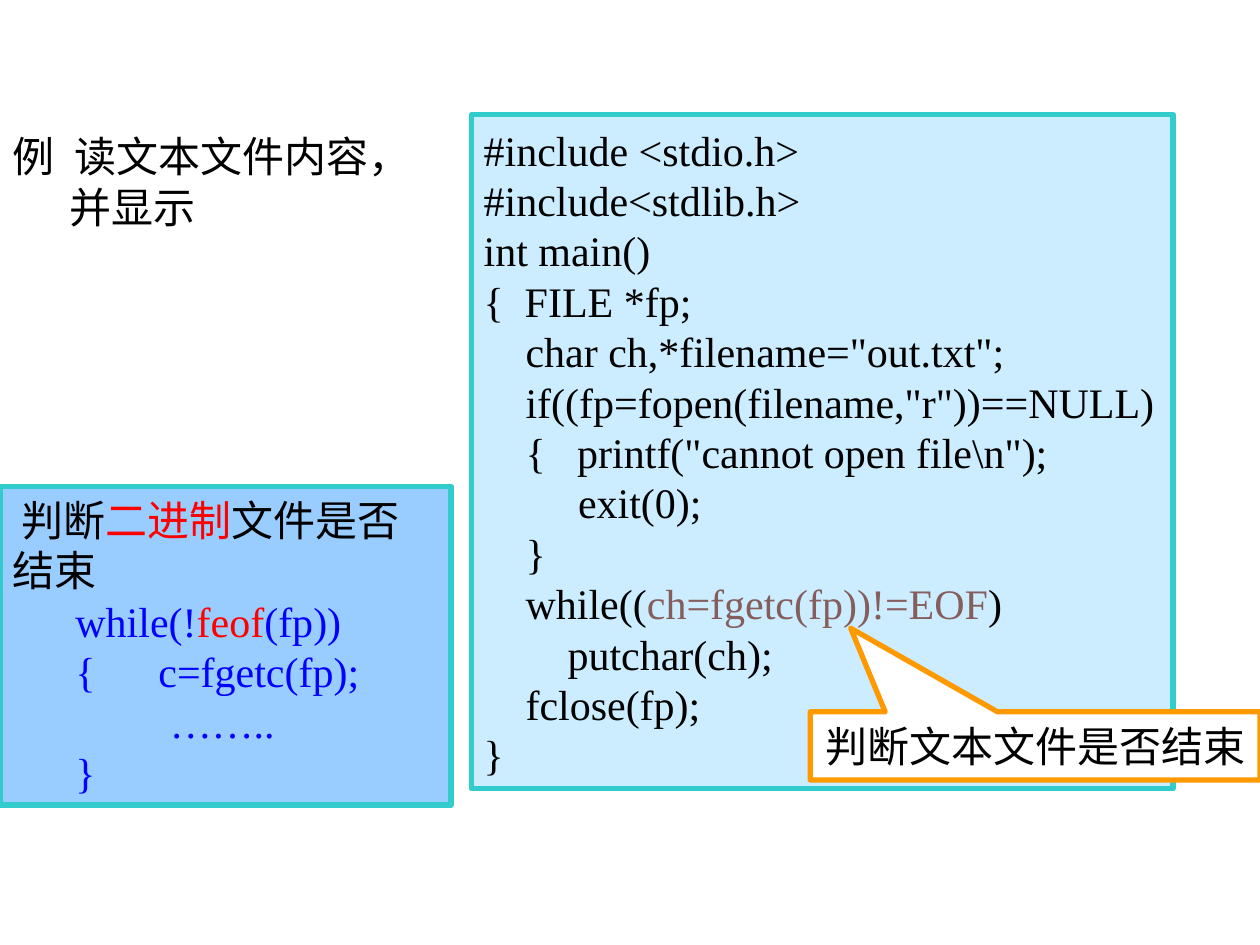
import pptx
import pptx.dml.color
import pptx.enum.shapes
import pptx.enum.text
import pptx.oxml
import pptx.oxml.ns
import pptx.util

COLORS = {
    "text": "000000", "red": "FF0000", "blue": "0000FF", "brown": "855D5D",
    "code_fill": "CCECFF", "note_fill": "99CCFF", "teal": "33CCCC",
    "callout_fill": "FFFFFF", "orange": "FF9900",
}

# Each line is a string, or a list of (text, colour name) parts
CODE_LINES = [
    "#include <stdio.h>",
    "#include<stdlib.h>",
    "int main()",
    "{  FILE *fp;",
    '    char ch,*filename="out.txt";',
    '    if((fp=fopen(filename,"r"))==NULL)',
    '    {   printf("cannot open file\\n");',
    "         exit(0);",
    "    }",
    [("    while((", "text"), ("ch=fgetc(fp))!=EOF", "brown"), (")", "text")],
    "        putchar(ch);",
    "    fclose(fp);",
    "}",
]
BINARY_LINES = [
    [(" 判断", "text"), ("二进制", "red"), ("文件是否结束", "text")],
    [("      while(!", "blue"), ("feof", "red"), ("(fp))", "blue")],
    [("      {      c=fgetc(fp);", "blue")],
    [("               ……..", "blue")],
    [("      }", "blue")],
]


def color(name):
    return pptx.dml.color.RGBColor.from_string(COLORS[name])


def add_span(para, text, *, font="Times New Roman", size=24, fill="text"):
    span = para.add_run()
    span.text = text
    span.font.name = font
    span.font.size = pptx.util.Pt(size)
    span.font.color.rgb = color(fill)


class SlideBuilder:
    def __init__(self, deck, line_width=3):
        self.page = deck.slides.add_slide(deck.slide_layouts[6])
        self.line_width = line_width

    def fill_text(self, box, lines, *, wrap=False, align="LEFT",
                  anchor="MIDDLE"):
        frame = box.text_frame
        frame.word_wrap = wrap
        frame.auto_size = pptx.enum.text.MSO_AUTO_SIZE.SHAPE_TO_FIT_TEXT
        frame.vertical_anchor = pptx.enum.text.MSO_ANCHOR[anchor]
        for index, line in enumerate(lines):
            para = frame.add_paragraph() if index else frame.paragraphs[0]
            para.alignment = pptx.enum.text.PP_ALIGN[align]
            parts = [(line, "text")] if isinstance(line, str) else line
            for text, fill in parts:
                add_span(para, text, fill=fill)

    def heading(self, bounds, lines, *, tab, indent):
        box = self.page.shapes.add_textbox(*map(pptx.util.Pt, bounds))
        self.fill_text(box, lines, wrap=True, anchor="TOP")
        first, second = box.text_frame.paragraphs
        # Tab stop after the label, indent on the second line
        tabs = pptx.oxml.parse_xml(
            f'<a:tabLst {pptx.oxml.ns.nsdecls("a")}>'
            f'<a:tab pos="{pptx.util.Pt(tab)}" algn="l"/></a:tabLst>')
        first._p.get_or_add_pPr().append(tabs)
        second._p.get_or_add_pPr().set("marL", str(pptx.util.Pt(indent)))

    def panel(self, bounds, lines, *, fill, line, kind="RECTANGLE",
              adjust=(), **text_format):
        box = self.page.shapes.add_shape(
            pptx.enum.shapes.MSO_SHAPE[kind], *map(pptx.util.Pt, bounds))
        box.shadow.inherit = False
        for index, value in enumerate(adjust):
            box.adjustments[index] = value
        box.fill.solid()
        box.fill.fore_color.rgb = color(fill)
        box.line.color.rgb = color(line)
        box.line.width = pptx.util.Pt(self.line_width)
        self.fill_text(box, lines, **text_format)


def main():
    deck = pptx.Presentation()
    deck.slide_width = pptx.util.Pt(720)
    deck.slide_height = pptx.util.Pt(540)
    builder = SlideBuilder(deck)

    # Task
    builder.heading((0, 71.3, 244.8, 65.5), ["例\t读文本文件内容，", "并显示"],
                    tab=35.5, indent=32.5)
    # Program listing
    builder.panel((269.3, 65.5, 401, 385.2), CODE_LINES,
                  fill="code_fill", line="teal")
    # Callout on the end-of-file test
    builder.panel((463, 406.8, 257, 38.9), ["判断文本文件是否结束"],
                  fill="callout_fill", line="orange", align="CENTER",
                  kind="RECTANGULAR_CALLOUT", adjust=(-0.41, -1.73))
    # Binary file variant
    builder.panel((0, 277.9, 257.8, 182.2), BINARY_LINES,
                  fill="note_fill", line="teal", wrap=True)

    deck.save("out.pptx")


if __name__ == "__main__":
    main()
